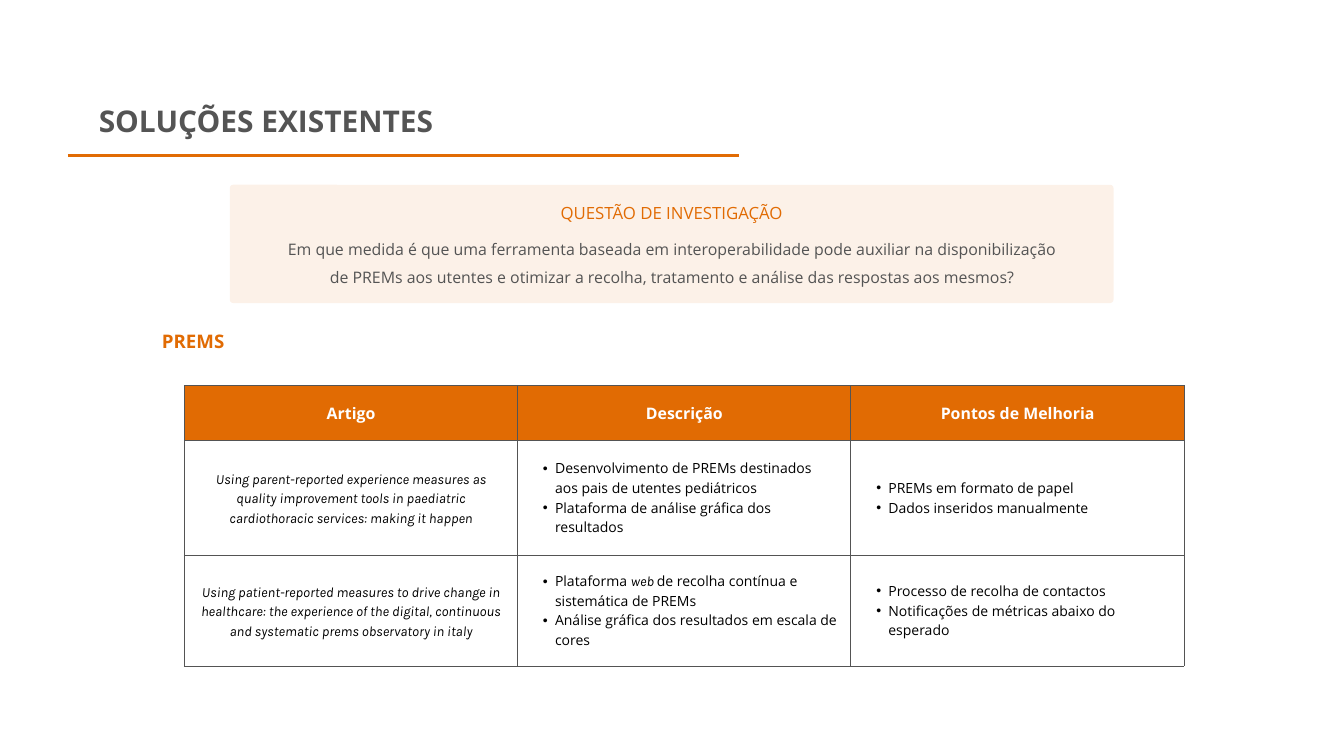
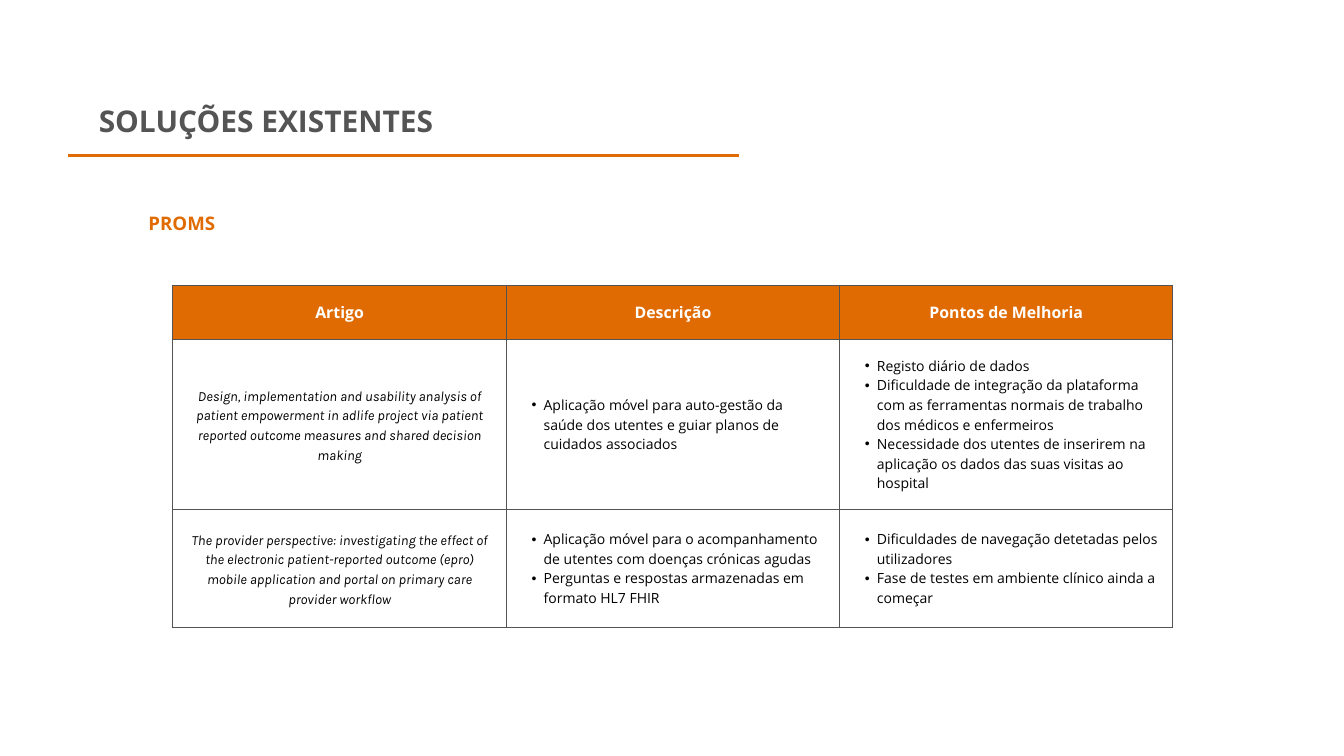
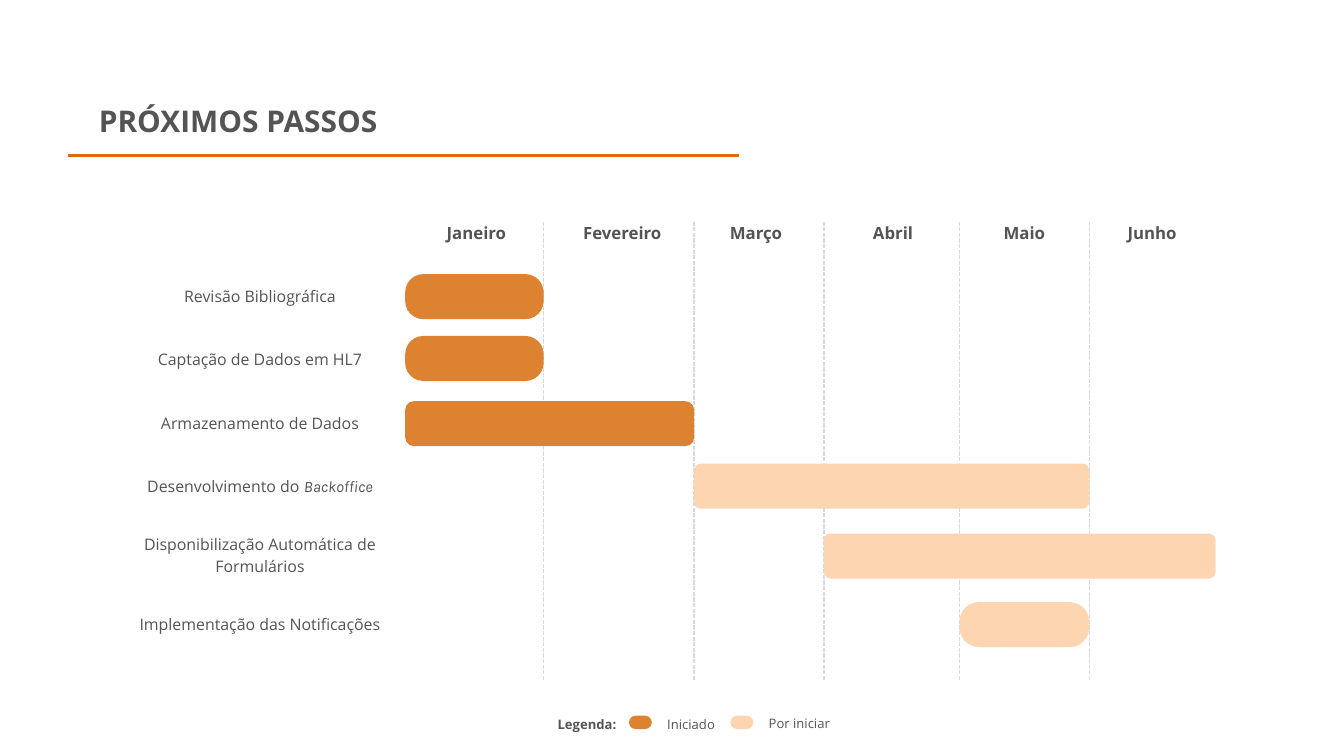
from lxml.etree import SubElement
from pptx import Presentation
from pptx.dml.color import RGBColor
from pptx.enum.dml import MSO_LINE
from pptx.enum.shapes import MSO_CONNECTOR, MSO_SHAPE
from pptx.enum.text import MSO_ANCHOR, MSO_AUTO_SIZE, PP_ALIGN
from pptx.oxml.ns import qn
from pptx.util import Inches, Pt

COLORS = {
    "orange": "E16B03",
    "gray": "545454",
    "white": "FFFFFF",
    "black": "000000",
    "started": "DD8231",
    "pending": "FDD5B1",
    "guide": "D9D9D9",
}
COLOR = {name: RGBColor.from_string(value) for name, value in COLORS.items()}


def write(frame, lines, size, color, spacing, bold=False, align=PP_ALIGN.CENTER, bullet=False):
    for index, line in enumerate(lines):
        para = frame.add_paragraph() if index else frame.paragraphs[0]
        para.alignment = align
        para.line_spacing = Pt(spacing)
        if bullet:
            para.level = 1
            properties = para._p.get_or_add_pPr()
            properties.set("marL", str(Inches(0.35)))
            properties.set("indent", str(Inches(-0.18)))
            SubElement(properties, qn("a:buFont"), typeface="Arial")
            SubElement(properties, qn("a:buChar"), char="•")
        for position, piece in enumerate(line.split("*")):
            if piece:
                italic = position % 2 == 1
                span = para.add_run()
                span.text = piece
                span.font.size = Pt(size)
                span.font.name = "Karla" if italic else "Open Sans"
                span.font.bold = bold
                span.font.italic = italic
                span.font.color.rgb = COLOR[color]


def add_grid(page, left, top, widths, heights, border=None):
    frame = page.shapes.add_table(len(heights), len(widths), Inches(left), Inches(top),
                                  Inches(sum(widths)), Inches(sum(heights)))
    table = frame.table
    table.first_row = table.horz_banding = False
    for column, width in zip(table.columns, widths):
        column.width = Inches(width)
    for row, height in zip(table.rows, heights):
        row.height = Inches(height)
    for cell in table.iter_cells():
        cell.margin_left = cell.margin_top = cell.margin_bottom = Inches(0.21)
        cell.margin_right = Inches(0.2)
        cell.vertical_anchor = MSO_ANCHOR.MIDDLE
        properties = cell._tc.get_or_add_tcPr()
        for side in ("a:lnL", "a:lnR", "a:lnT", "a:lnB"):
            edge = SubElement(properties, qn(side), w=str(Pt(0.75)))
            if border:
                fill = SubElement(edge, qn("a:solidFill"))
                SubElement(fill, qn("a:srgbClr"), val=COLORS[border])
            else:
                SubElement(edge, qn("a:noFill"))
        cell.fill.background()
    return table


deck = Presentation()
deck.slide_width = Inches(20)
deck.slide_height = Inches(11.25)

pages = []
for title, width in [("SOLUÇÕES EXISTENTES", 5.1), ("SOLUÇÕES EXISTENTES", 5.1), ("PRÓXIMOS PASSOS", 4.3)]:
    page = deck.slides.add_slide(deck.slide_layouts[5])
    box = page.shapes.title
    box.left, box.top, box.width, box.height = Inches(1.47), Inches(1.44), Inches(width), Inches(0.59)
    frame = box.text_frame
    frame.margin_left = frame.margin_right = frame.margin_top = frame.margin_bottom = 0
    frame.vertical_anchor = MSO_ANCHOR.TOP
    frame.auto_size = MSO_AUTO_SIZE.NONE
    frame.word_wrap = True
    write(frame, [title], 32, "gray", 44.8, bold=True, align=PP_ALIGN.LEFT)
    pages.append(page)
prems, proms, steps = pages

months = ["Janeiro", "Fevereiro", "Março", "Abril", "Maio", "Junho"]
month_edges = [6.03, 8.09, 10.33, 12.26, 14.28, 16.21, 18.09]

rules = [(page, 1.01, 2.31, 11, 2.31, "orange", 3, None) for page in pages]
rules += [(steps, edge, 10.12, edge, 3.3, "guide", 1.5, MSO_LINE.SQUARE_DOT) for edge in month_edges[1:-1]]
for page, x1, y1, x2, y2, color, weight, dash in rules:
    rule = page.shapes.add_connector(MSO_CONNECTOR.STRAIGHT, Inches(x1), Inches(y1), Inches(x2), Inches(y2))
    rule.line.color.rgb = COLOR[color]
    rule.line.width = Pt(weight)
    if dash:
        rule.line.dash_style = dash
    SubElement(rule.element.spPr, qn("a:effectLst"))

headings = ["Artigo", "Descrição", "Pontos de Melhoria"]
article_tables = [
    (prems, 2.74, 5.74, [0.81, 1.71, 1.65], [
        [["*Using parent-reported experience measures as quality improvement tools in paediatric "
          "cardiothoracic services: making it happen*"],
         ["Desenvolvimento de PREMs destinados aos pais de utentes pediátricos",
          "Plataforma de análise gráfica dos resultados"],
         ["PREMs em formato de papel", "Dados inseridos manualmente"]],
        [["*Using patient-reported measures to drive change in healthcare: the experience of the "
          "digital, continuous and systematic prems observatory in italy*"],
         ["Plataforma *web *de recolha contínua e sistemática de PREMs",
          "Análise gráfica dos resultados em escala de cores"],
         ["Processo de recolha de contactos", "Notificações de métricas abaixo do esperado"]],
    ]),
    (proms, 2.57, 4.24, [0.81, 2.53, 1.76], [
        [["*Design, implementation and usability analysis of patient empowerment in adlife project "
          "via patient reported outcome measures and shared decision making*"],
         ["Aplicação móvel para auto-gestão da saúde dos utentes e guiar planos de cuidados associados"],
         ["Registo diário de dados",
          "Dificuldade de integração da plataforma com as ferramentas normais de trabalho dos "
          "médicos e enfermeiros",
          "Necessidade dos utentes de inserirem na aplicação os dados das suas visitas ao hospital"]],
        [["*The provider perspective: investigating the effect of the electronic patient-reported "
          "outcome (epro) mobile application and portal on primary care provider workflow*"],
         ["Aplicação móvel para o acompanhamento de utentes com doenças crónicas agudas",
          "Perguntas e respostas armazenadas em formato HL7 FHIR"],
         ["Dificuldades de navegação detetadas pelos utilizadores",
          "Fase de testes em ambiente clínico ainda a começar"]],
    ]),
]
for page, left, top, heights, articles in article_tables:
    table = add_grid(page, left, top, [4.96] * 3, heights, "gray")
    for column, heading in enumerate(headings):
        cell = table.cell(0, column)
        cell.fill.solid()
        cell.fill.fore_color.rgb = COLOR["orange"]
        write(cell.text_frame, [heading], 17, "white", 23.8, bold=True)
    for row, article in enumerate(articles, 1):
        for column, lines in enumerate(article):
            align = PP_ALIGN.LEFT if column else PP_ALIGN.CENTER
            write(table.cell(row, column).text_frame, lines, 15, "black", 21, align=align, bullet=column > 0)

tasks = [
    ("Revisão Bibliográfica", 4.08, 0, 1, 0.27, "started"),
    ("Captação de Dados em HL7", 5, 0, 1, 0.27, "started"),
    ("Armazenamento de Dados", 5.97, 0, 2, 0.13, "started"),
    ("Desenvolvimento do *Backoffice*", 6.9, 2, 5, 0.1, "pending"),
    ("Disponibilização Automática de Formulários", 7.94, 3, 6, 0.1, "pending"),
    ("Implementação das Notificações", 8.96, 4, 5, 0.29, "pending"),
]
schedule = add_grid(steps, 1.86, 3, [4.01, 2.43, 1.91, 2.07, 2.01, 1.9, 1.9], [0.94] * 5 + [1.12, 0.94])
for column, month in enumerate(months, 1):
    write(schedule.cell(0, column).text_frame, [month], 18, "gray", 25.1, bold=True)
for row, task in enumerate(tasks, 1):
    write(schedule.cell(row, 0).text_frame, [task[0]], 17, "gray", 23.8)

bars = [(prems, 3.42, 2.75, 13.15, 1.76, 0.05, "orange", 9)]
for name, top, start, end, radius, color in tasks:
    left = month_edges[start]
    bars.append((steps, left, top, month_edges[end] - left, 0.67, radius, color, 100))
for left, color in [(9.36, "started"), (10.87, "pending")]:
    bars.append((steps, left, 10.65, 0.34, 0.2, 0.1, color, 100))
for page, left, top, width, height, radius, color, opacity in bars:
    bar = page.shapes.add_shape(MSO_SHAPE.ROUNDED_RECTANGLE, Inches(left), Inches(top),
                                Inches(width), Inches(height))
    bar.adjustments[0] = radius / height
    bar.shadow.inherit = False
    bar.line.fill.background()
    bar.fill.solid()
    bar.fill.fore_color.rgb = COLOR[color]
    if opacity < 100:
        tint = next(bar.element.iter(qn("a:srgbClr")))
        SubElement(tint, qn("a:alpha"), val=str(opacity * 1000))

question = [
    "Em que medida é que uma ferramenta baseada em interoperabilidade pode auxiliar na disponibilização",
    "de PREMs aos utentes e otimizar a recolha, tratamento e análise das respostas aos mesmos?",
]
labels = [
    (prems, 2.36, 4.76, 1.03, 0.45, ["PREMS"], 20, "orange", 35.1, True),
    (prems, 4.15, 3.44, 11.71, 0.77, question, 17, "gray", 29.9, False),
    (prems, 8.23, 2.87, 3.53, 0.39, ["QUESTÃO DE INVESTIGAÇÃO"], 18, "orange", 31.6, False),
    (proms, 2.16, 3, 1.09, 0.45, ["PROMS"], 20, "orange", 35.1, True),
    (steps, 9.88, 10.55, 0.81, 0.31, ["Iniciado"], 14, "gray", 24.6, False),
    (steps, 11.39, 10.54, 1.01, 0.31, ["Por iniciar"], 14, "gray", 24.6, False),
    (steps, 8.25, 10.55, 0.97, 0.31, ["Legenda:"], 14, "gray", 24.6, True),
]
for page, left, top, width, height, lines, size, color, spacing, bold in labels:
    box = page.shapes.add_textbox(Inches(left), Inches(top), Inches(width), Inches(height))
    frame = box.text_frame
    frame.margin_left = frame.margin_right = frame.margin_top = frame.margin_bottom = 0
    frame.word_wrap = True
    write(frame, lines, size, color, spacing, bold)

deck.save("out.pptx")
